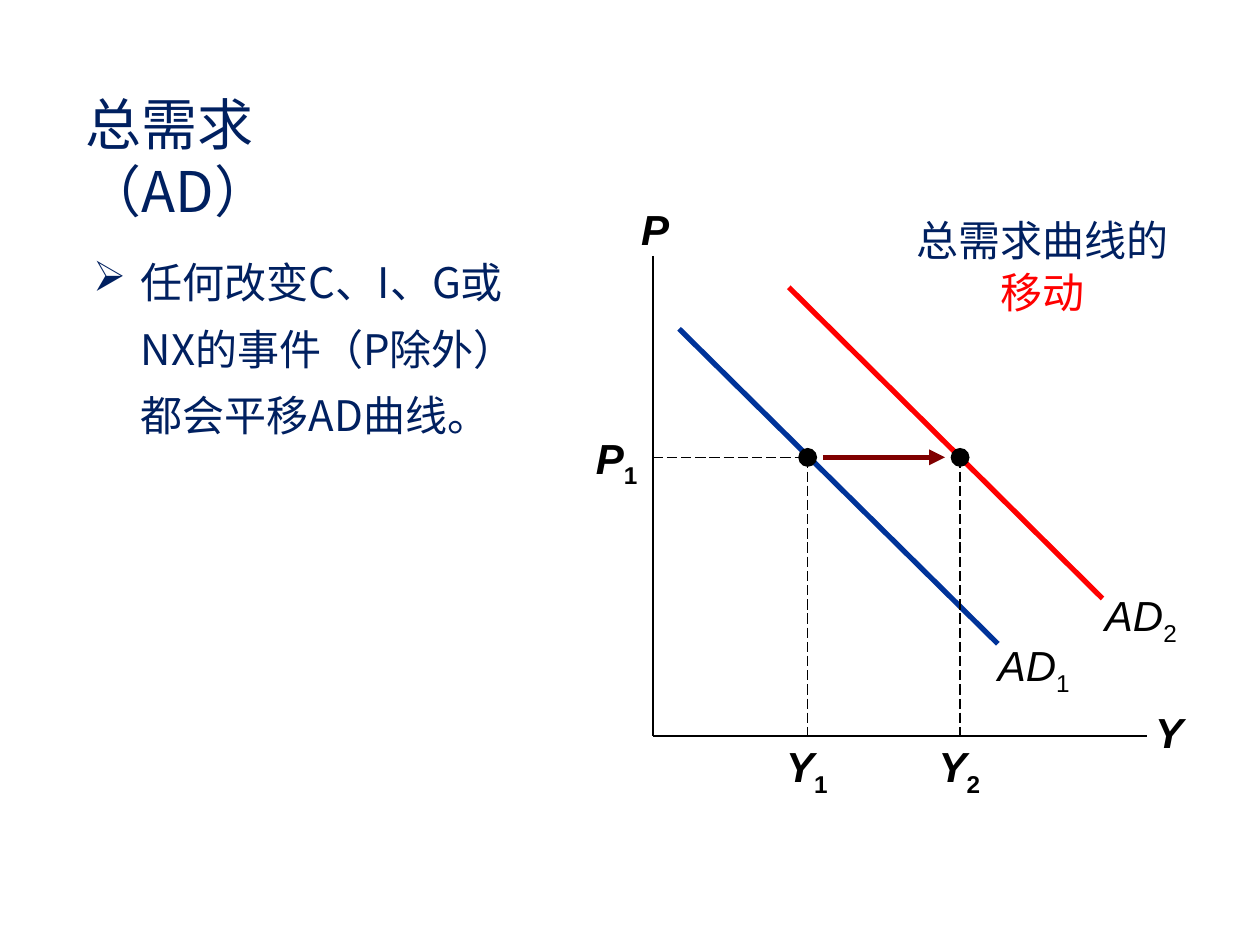
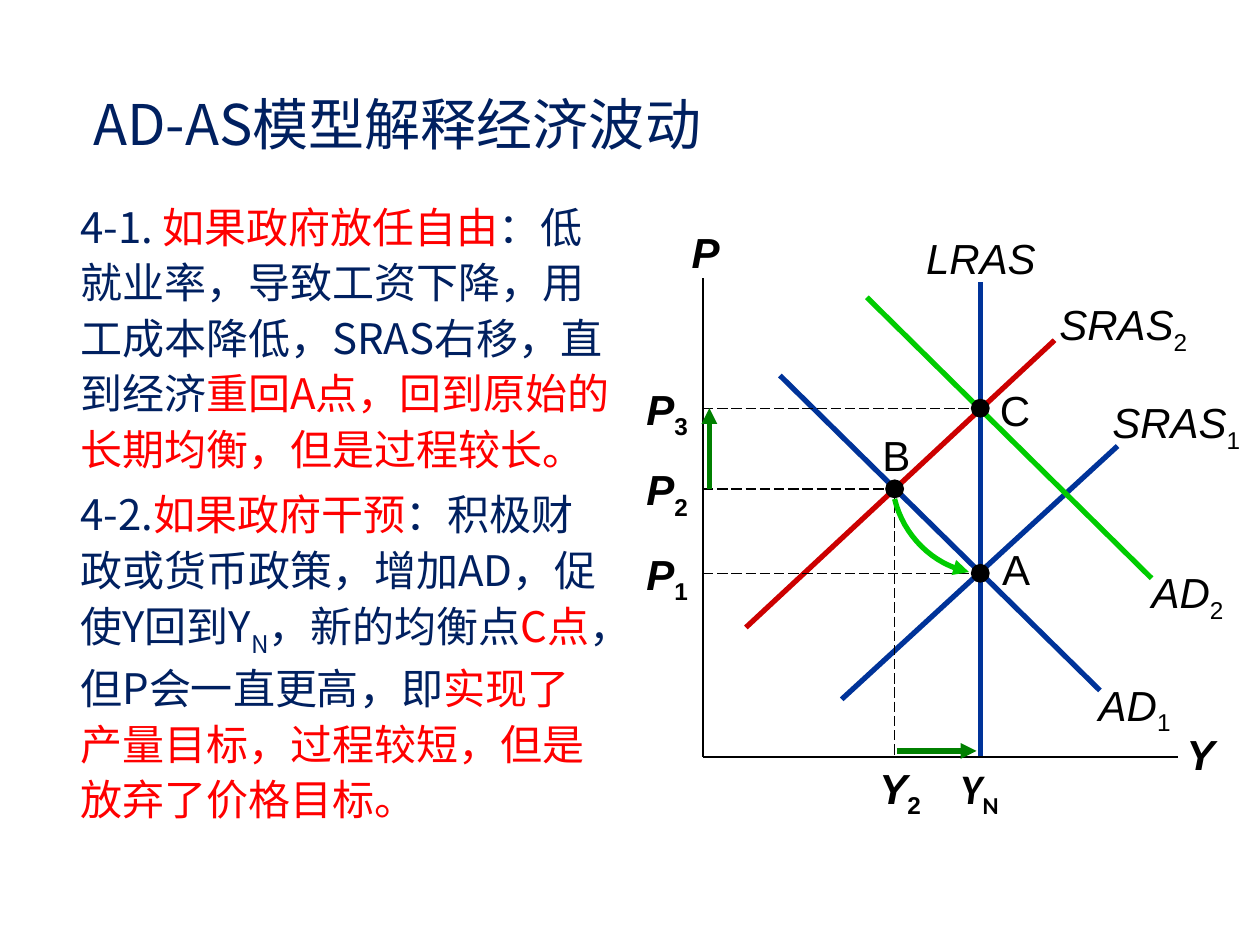
"""Build two slides on aggregate demand and the AD-AS model."""
from dataclasses import dataclass

from lxml import etree
from pptx import Presentation
from pptx import util as u
from pptx.dml.color import RGBColor
from pptx.enum import dml, shapes, text
from pptx.oxml import ns


@dataclass(frozen=True)
class Theme:
    """Colours, fonts and sizes shared by the slides."""
    navy: str = "002060"
    red: str = "FF0000"
    crimson: str = "CC0000"
    maroon: str = "800000"
    blue: str = "003399"
    lime: str = "00CC00"
    green: str = "008000"
    black: str = "000000"
    body_font: str = "Noto Sans CJK SC"
    label_font: str = "Arial"
    note_font: str = "Calibri"
    title_size: int = 32
    text_size: int = 24
    thick: float = 3
    thin: float = 1
    hairline: float = 0.75


@dataclass(frozen=True)
class Plot:
    """Axis positions of a diagram, in grid cells."""
    left: float
    top: float
    right: float
    base: float


THEME = Theme()
COLUMNS, ROWS = 10, 7.5
SLIDE_WIDTH, SLIDE_HEIGHT = u.Inches(10), u.Inches(7.5)
SUBSCRIPT = -25000
DOT = 0.15
CENTER = text.PP_ALIGN.CENTER


def across(columns):
    """Convert grid columns to a length."""
    return round(SLIDE_WIDTH * columns / COLUMNS)


def down(rows):
    """Convert grid rows to a length."""
    return round(SLIDE_HEIGHT * rows / ROWS)


def box(left, top, width, height):
    """Convert a grid rectangle to lengths."""
    return across(left), down(top), across(width), down(height)


def write(paragraph, content, *, color=THEME.navy, font=THEME.body_font,
          size=THEME.text_size, bold=False, italic=False, baseline=0):
    """Add one formatted run to a paragraph."""
    run = paragraph.add_run()
    run.text = content
    run.font.name = font
    run.font.size = u.Pt(size)
    run.font.bold, run.font.italic = bold, italic
    run.font.color.rgb = RGBColor.from_string(color)
    properties = run._r.get_or_add_rPr()
    if baseline:
        properties.set("baseline", str(baseline))
    etree.SubElement(properties, ns.qn("a:ea")).set("typeface", font)


def prepare_frame(shape, inset=True):
    """Make a text shape wrap, grow and start at its top."""
    frame = shape.text_frame
    frame.word_wrap = True
    frame.auto_size = text.MSO_AUTO_SIZE.SHAPE_TO_FIT_TEXT
    frame.vertical_anchor = text.MSO_ANCHOR.TOP
    side, edge = (0.1, 0.05) if inset else (0, 0)
    frame.margin_left = frame.margin_right = u.Inches(side)
    frame.margin_top = frame.margin_bottom = u.Inches(edge)
    return frame


def add_text(slide, place, paragraphs, *, align=None, spacing=None, after=0, inset=True):
    """Add a text box whose paragraphs are lists of (text, format) runs."""
    frame = prepare_frame(slide.shapes.add_textbox(*box(*place)), inset)
    for number, runs in enumerate(paragraphs):
        paragraph = frame.add_paragraph() if number else frame.paragraphs[0]
        paragraph.alignment = align
        paragraph.line_spacing = spacing
        paragraph.space_before, paragraph.space_after = u.Pt(0), u.Pt(after)
        for content, style in runs:
            write(paragraph, content, **style)
    return frame


def add_bullet(paragraph, symbol, indent):
    """Give a paragraph a hanging bullet."""
    properties = paragraph._p.get_or_add_pPr()
    properties.set("marL", str(across(indent)))
    properties.set("indent", str(-across(indent)))
    etree.SubElement(properties, ns.qn("a:buChar")).set("char", symbol)


def add_title_slide(presentation, content, left, width):
    """Add a title-only slide and format its title."""
    slide = presentation.slides.add_slide(presentation.slide_layouts[5])
    title = slide.shapes.title
    title.left, title.top, title.width, title.height = box(left, 0.66, width, 0.64)
    paragraph = prepare_frame(title).paragraphs[0]
    paragraph.alignment = text.PP_ALIGN.LEFT
    write(paragraph, content, size=THEME.title_size)
    return slide


def add_label(slide, place, name, subscript="", *, font=THEME.label_font,
              bold=False, italic=True, inset=True):
    """Add a centred diagram label with an optional subscript."""
    style = {"color": THEME.black, "font": font, "bold": bold}
    runs = [(name, {**style, "italic": italic})]
    if subscript:
        runs.append((subscript, {**style, "baseline": SUBSCRIPT}))
    add_text(slide, place, [runs], align=CENTER, inset=inset)


def style_line(shape, color, width, end=None):
    """Format a line, with an arrowhead at headEnd or tailEnd if named."""
    shape.line.color.rgb = RGBColor.from_string(color)
    shape.line.width = u.Pt(width)
    if end:
        line = shape.line._get_or_add_ln()
        etree.SubElement(line, ns.qn(f"a:{end}")).set("type", "triangle")


def add_line(slide, start, finish, color=THEME.black, width=THEME.thin, *,
             dashed=False, arrow=False):
    """Draw a straight line or arrow."""
    line = slide.shapes.add_connector(
        shapes.MSO_CONNECTOR.STRAIGHT, across(start[0]), down(start[1]),
        across(finish[0]), down(finish[1]))
    style_line(line, color, width)
    if dashed:
        line.line.dash_style = dml.MSO_LINE.LONG_DASH
    if arrow:
        style_line(line, color, width, "tailEnd")
    etree.SubElement(line._element.spPr, ns.qn("a:effectLst"))


def add_curved_arrow(slide, tip, near, far, start, color, steps=16):
    """Draw a cubic curve that ends in an arrowhead at its tip."""
    points = []
    for step in range(steps + 1):
        t = step / steps
        weights = ((1 - t) ** 3, 3 * t * (1 - t) ** 2, 3 * t ** 2 * (1 - t), t ** 3)
        x, y = (sum(w * p[axis] for w, p in zip(weights, (tip, near, far, start)))
                for axis in (0, 1))
        points.append((across(x), down(y)))
    builder = slide.shapes.build_freeform(*points[0])
    builder.add_line_segments(points[1:], close=False)
    curve = builder.convert_to_shape()
    curve.shadow.inherit = False
    curve.fill.background()
    style_line(curve, color, THEME.thick, "headEnd")


def add_axes(slide, plot):
    """Draw the P and Y axes with their names."""
    corner = plot.left, plot.base
    add_line(slide, (plot.left, plot.top), corner)
    add_line(slide, corner, (plot.right, plot.base))
    add_label(slide, (plot.left - 0.2, plot.top - 0.46, 0.44, 0.5), "P", bold=True)
    add_label(slide, (plot.right - 0.05, plot.base - 0.28, 0.46, 0.5), "Y", bold=True)


def add_curve(slide, start, finish, color, name, subscript, label_at):
    """Draw a curve and its name."""
    add_line(slide, start, finish, color, THEME.thick)
    width = 0.85 if name == "AD" else 1.29
    add_label(slide, (*label_at, width, 0.5), name, subscript)


def add_point(slide, plot, x, y, guide=True, drop=False):
    """Mark a point with dashed guides to the axes."""
    dashes = {"width": THEME.hairline, "dashed": True}
    if guide:
        add_line(slide, (plot.left, y), (x, y), **dashes)
    if drop:
        add_line(slide, (x, y), (x, plot.base), **dashes)
    dot = slide.shapes.add_shape(
        shapes.MSO_SHAPE.OVAL, *box(x - DOT / 2, y - DOT / 2, DOT, DOT))
    dot.shadow.inherit = False
    dot.fill.solid()
    dot.fill.fore_color.rgb = RGBColor.from_string(THEME.black)
    dot.line.fill.background()


def add_price(slide, plot, y, subscript):
    """Name a price level beside the vertical axis."""
    add_label(slide, (plot.left - 0.55, y - 0.2, 0.53, 0.4), "P", subscript,
              bold=True, inset=False)


def add_output(slide, plot, x, subscript, font=THEME.label_font):
    """Name an output level below the horizontal axis."""
    add_label(slide, (x - 0.27, plot.base + 0.04, 0.53, 0.4), "Y", subscript,
              font=font, bold=True, inset=False)


def build_demand_shift(presentation):
    """Build the slide on the shift of the AD curve."""
    slide = add_title_slide(presentation, "总需求（AD）", 0.58, 3)
    frame = add_text(slide, (0.64, 1.86, 3.7, 1.7),
                     [[("任何改变C、I、G或NX的事件（P除外）都会平移AD曲线。", {})]],
                     spacing=u.Pt(38), after=12)
    add_bullet(frame.paragraphs[0], "➢", 0.38)

    plot = Plot(5.18, 2.03, 9.1, 5.84)
    price, first, second = 3.63, 6.41, 7.62
    add_axes(slide, plot)
    add_curve(slide, (5.39, 2.61), (7.92, 5.11), THEME.blue, "AD", "1", (7.78, 5.03))
    add_curve(slide, (6.26, 2.28), (8.75, 4.75), THEME.red, "AD", "2", (8.63, 4.63))
    add_price(slide, plot, price, "1")
    for x, subscript in ((first, "1"), (second, "2")):
        add_point(slide, plot, x, price, guide=x == first, drop=True)
        add_output(slide, plot, x, subscript)
    add_line(slide, (first + 0.12, price), (second - 0.12, price),
             THEME.maroon, THEME.thick, arrow=True)
    add_text(slide, (7.08, 1.63, 2.39, 0.95),
             [[("总需求曲线的", {}), ("移动", {"color": THEME.red})]],
             align=CENTER, spacing=1.05)


def build_fluctuations(presentation):
    """Build the slide on fluctuations in the AD-AS model."""
    slide = add_title_slide(presentation, "AD-AS模型解释经济波动", 0.64, 8.26)
    red = {"color": THEME.red}
    add_text(slide, (0.54, 1.51, 4.4, 5.07), [
        [("4-1. ", {}), ("如果政府放任自由", red),
         ("：低就业率，导致工资下降，用工成本降低，SRAS右移，直到经济", {}),
         ("重回A点，回到原始的长期均衡，但是过程较长。", red)],
        [("4-2.", {}), ("如果政府干预", red),
         ("：积极财政或货币政策，增加AD，促使Y回到Y", {}),
         ("N", {"baseline": SUBSCRIPT}), ("，新的均衡点", {}), ("C点", red),
         ("，但P会一直更高，即", {}),
         ("实现了产量目标，过程较短，但是放弃了价格目标。", red)],
    ], spacing=1.1, after=6)

    plot = Plot(5.58, 2.21, 9.35, 6.01)
    natural, slump = 7.78, 7.1
    low, middle, high = 4.55, 3.88, 3.24
    add_curve(slide, (natural, 2.24), (natural, plot.base), THEME.blue, "LRAS", "", (7.14, 1.8))
    add_axes(slide, plot)
    add_curve(slide, (6.19, 2.98), (8.73, 5.48), THEME.blue, "AD", "1", (8.58, 5.34))
    add_curve(slide, (6.68, 5.55), (8.87, 3.54), THEME.blue, "SRAS", "1", (8.69, 3.1))
    add_curve(slide, (5.92, 4.98), (8.37, 2.7), THEME.crimson, "SRAS", "2", (8.27, 2.32))
    add_curve(slide, (6.88, 2.36), (9.14, 4.59), THEME.lime, "AD", "2", (9, 4.45))

    for name, x, y, subscript, label_at in (
            ("A", natural, low, "1", (7.89, 4.31)),
            ("B", slump, middle, "2", (6.94, 3.41)),
            ("C", natural, high, "3", (7.88, 3.05))):
        add_point(slide, plot, x, y, drop=x == slump)
        add_price(slide, plot, y, subscript)
        add_label(slide, (*label_at, 0.35, 0.4), name, italic=False, inset=False)
    add_output(slide, plot, slump + 0.05, "2")
    add_output(slide, plot, natural, "N", THEME.note_font)

    for start, finish in (((7.12, 5.96), (7.75, 5.96)), ((5.63, middle), (5.63, high))):
        add_line(slide, start, finish, THEME.green, THEME.thick, arrow=True)
    add_curved_arrow(slide, (7.69, 4.54), (7.4, 4.48), (7.17, 4.25), (7.1, 3.96), THEME.lime)


def main():
    """Build and save the presentation."""
    presentation = Presentation()
    presentation.slide_width, presentation.slide_height = SLIDE_WIDTH, SLIDE_HEIGHT
    build_demand_shift(presentation)
    build_fluctuations(presentation)
    presentation.save("out.pptx")


if __name__ == "__main__":
    main()
